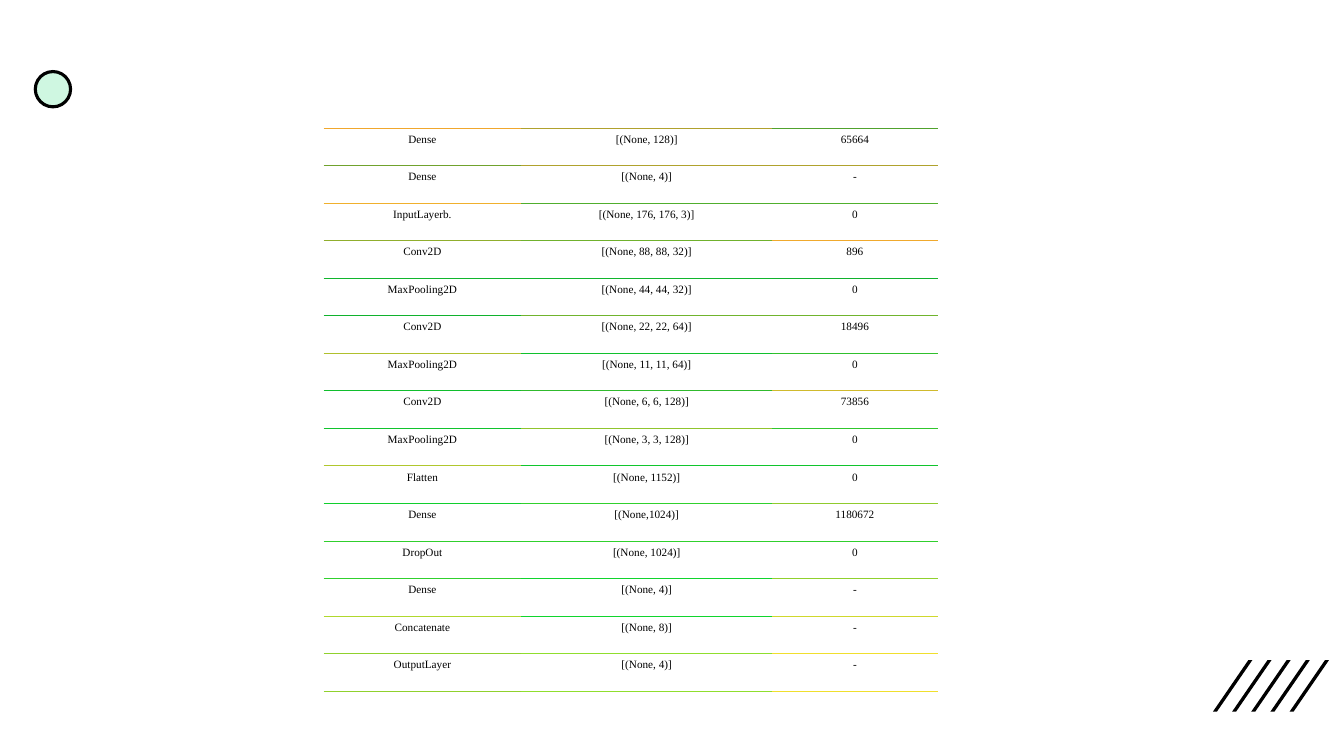
from lxml import etree
from pptx import Presentation
from pptx.dml.color import RGBColor
from pptx.enum.shapes import MSO_SHAPE as Preset
from pptx.enum.text import MSO_ANCHOR, PP_ALIGN
from pptx.oxml.ns import qn
from pptx.util import Inches, Pt

COLORS = {"black": "000000", "mint": "CFF7E1"}

LAYERS = [
    ("Dense", "[(None, 128)]", "65664"),
    ("Dense", "[(None, 4)]", "-"),
    ("InputLayerb.", "[(None, 176, 176, 3)]", "0"),
    ("Conv2D", "[(None, 88, 88, 32)]", "896"),
    ("MaxPooling2D", "[(None, 44, 44, 32)]", "0"),
    ("Conv2D", "[(None, 22, 22, 64)]", "18496"),
    ("MaxPooling2D", "[(None, 11, 11, 64)]", "0"),
    ("Conv2D", "[(None, 6, 6, 128)]", "73856"),
    ("MaxPooling2D", "[(None, 3, 3, 128)]", "0"),
    ("Flatten", "[(None, 1152)]", "0"),
    ("Dense", "[(None,1024)]", "1180672"),
    ("DropOut", "[(None, 1024)]", "0"),
    ("Dense", "[(None, 4)]", "-"),
    ("Concatenate", "[(None, 8)]", "-"),
    ("OutputLayer", "[(None, 4)]", "-"),
]

RULES = [
    ("F0A72D", "B0A12D", "50A22D"),
    ("70A22D", "B0A22D", "B0A22D"),
    ("F0B02D", "50AE2D", "50B02D"),
    ("90AE2D", "70B12D", "F0A92D"),
    ("10B62D", "10B62D", "10B22D"),
    ("10B22D", "70B42D", "70B42D"),
    ("B0C02D", "10C12D", "30C02D"),
    ("10BE2D", "30BA2D", "D0BA2D"),
    ("10C42D", "90C52D", "30C72D"),
    ("B0C72D", "10C62D", "10C42D"),
    ("10CF2D", "30D12D", "90CB2D"),
    ("30CF2D", "30D12D", "30CF2D"),
    ("30D12D", "10D52D", "90D12D"),
    ("B0D82D", "10D52D", "D0D82D"),
    ("90D12D", "90DE2D", "F0DF2D"),
    ("90D12D", "90DE2D", "F0DF2D"),
]


def set_borders(cell, top, bottom):
    """Draw coloured rules above and below a cell and none at its sides."""
    properties = cell._tc.get_or_add_tcPr()
    sides = [("a:lnL", None), ("a:lnR", None), ("a:lnT", top), ("a:lnB", bottom)]
    for place, (tag, color) in enumerate(sides):
        line = etree.Element(qn(tag), w=str(Pt(0.75)))
        if color:
            fill = etree.SubElement(line, qn("a:solidFill"))
            etree.SubElement(fill, qn("a:srgbClr"), val=color)
        else:
            etree.SubElement(line, qn("a:noFill"))
        properties.insert(place, line)


def format_cell(cell, text):
    """Write centred text into an unfilled cell."""
    cell.fill.background()
    cell.margin_left = cell.margin_right = Inches(0.07)
    cell.margin_top = cell.margin_bottom = Inches(0.05)
    cell.vertical_anchor = MSO_ANCHOR.TOP
    para = cell.text_frame.paragraphs[0]
    para.text = text
    para.alignment = PP_ALIGN.CENTER
    para.font.name = "Times New Roman"
    para.font.size = Pt(8)
    para.font.color.rgb = RGBColor.from_string(COLORS["black"])


def add_layer_table(page, left, top, width, height):
    """Add the table of network layers, output shapes and parameters."""
    frame = page.shapes.add_table(len(LAYERS), 3, Inches(left), Inches(top),
                                  Inches(width), Inches(height))
    table = frame.table
    table.first_row = table.horz_banding = False
    for column, share in zip(table.columns, (1.96, 2.49, 1.64)):
        column.width = Inches(width * share / 6.09)
    for row, texts in enumerate(LAYERS):
        table.rows[row].height = Inches(height / len(LAYERS))
        for column, text in enumerate(texts):
            cell = table.cell(row, column)
            format_cell(cell, text)
            set_borders(cell, RULES[row][column], RULES[row + 1][column])


def add_stripes(page, left, top, width, height, count=5, pitch=0.19, thickness=0.04):
    """Add a row of slanted stripes filling the given box."""
    slant = width - pitch * (count - 1) - thickness
    for number in range(count):
        foot = left + pitch * number
        bottom = top + height
        corners = [(foot + thickness, bottom), (foot, bottom),
                   (foot + slant, top), (foot + slant + thickness, top)]
        points = [(Inches(x), Inches(y)) for x, y in corners]
        builder = page.shapes.build_freeform(*points[0])
        builder.add_line_segments(points[1:], close=True)
        stripe = builder.convert_to_shape()
        stripe.shadow.inherit = False
        stripe.fill.solid()
        stripe.fill.fore_color.rgb = RGBColor.from_string(COLORS["black"])
        stripe.line.fill.background()


def add_dot(page, left, top, size):
    """Add the outlined mint circle."""
    dot = page.shapes.add_shape(Preset.OVAL, Inches(left), Inches(top),
                                Inches(size), Inches(size))
    dot.shadow.inherit = False
    dot.fill.solid()
    dot.fill.fore_color.rgb = RGBColor.from_string(COLORS["mint"])
    dot.line.color.rgb = RGBColor.from_string(COLORS["black"])
    dot.line.width = Pt(2.25)


def main():
    """Build and save the deck."""
    deck = Presentation()
    deck.slide_width, deck.slide_height = Inches(13.33), Inches(7.5)
    page = deck.slides.add_slide(deck.slide_layouts[6])
    add_stripes(page, 12.03, 6.55, 1.15, 0.51)
    add_dot(page, 0.35, 0.71, 0.35)
    add_layer_table(page, 3.21, 1.27, 6.09, 5.59)
    deck.save("out.pptx")


if __name__ == "__main__":
    main()
